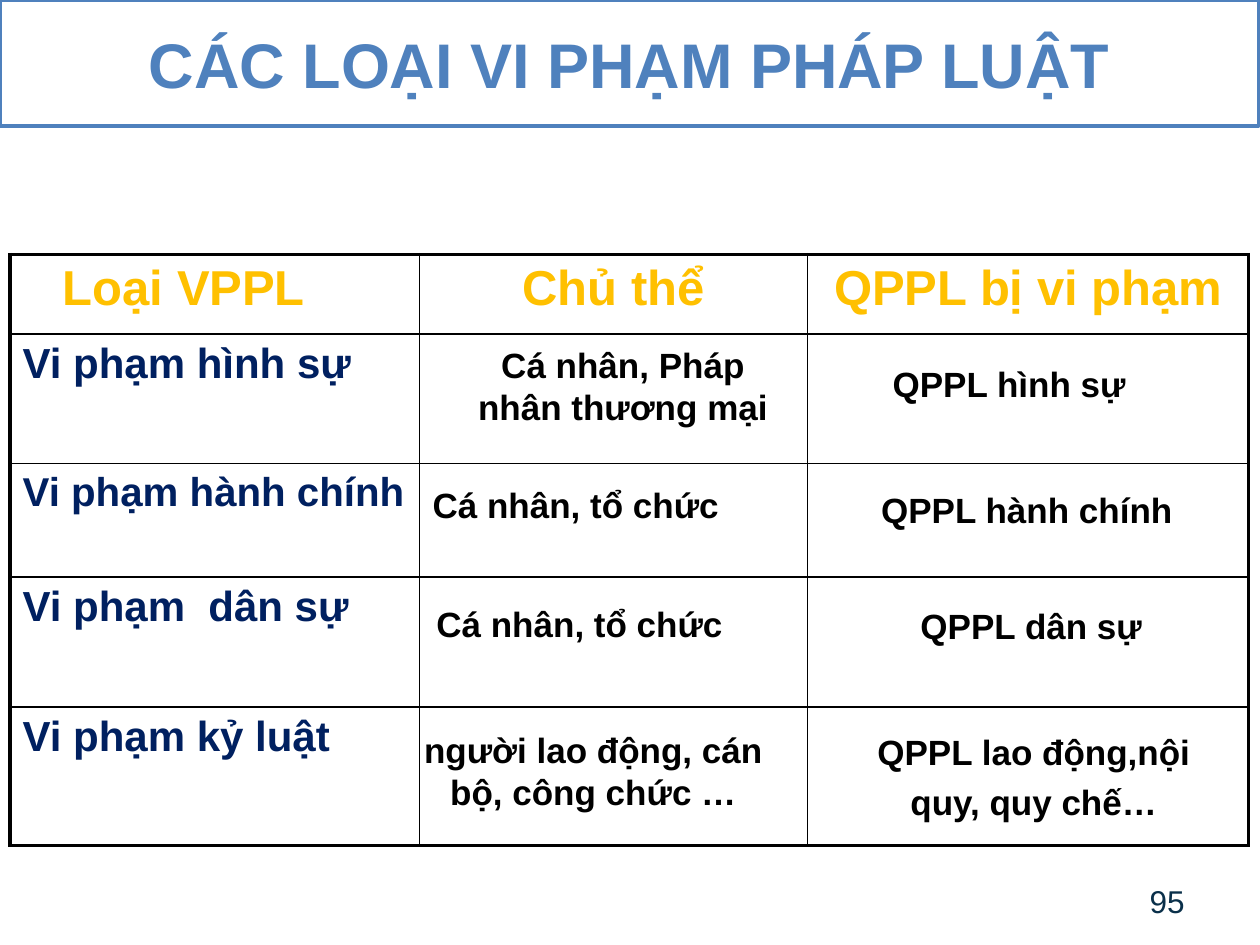
from dataclasses import dataclass

from lxml import etree
from pptx import Presentation
from pptx.dml.color import RGBColor
from pptx.enum.text import MSO_ANCHOR, MSO_AUTO_SIZE, PP_ALIGN
from pptx.oxml.ns import qn
from pptx.util import Inches, Pt

LEFT, CENTER, RIGHT = PP_ALIGN.LEFT, PP_ALIGN.CENTER, PP_ALIGN.RIGHT
TOP, MIDDLE = MSO_ANCHOR.TOP, MSO_ANCHOR.MIDDLE
NO_FIT = MSO_AUTO_SIZE.NONE

BLUE, NAVY, GOLD = "4F81BD", "002060", "FFC000"
BLACK, WHITE, INK = "000000", "FFFFFF", "0A304A"
OUTER, INNER = 2.25, 1

COLS = [3.25, 3.08, 3.5]
ROWS = [0.63, 1.03, 0.9, 1.03, 1.1]


@dataclass
class Style:
    size: float
    color: str
    bold: bool = True
    align: PP_ALIGN = CENTER
    spacing: float = 1.0


@dataclass
class Label:
    text: str
    x: float
    y: float
    w: float
    h: float
    style: Style
    anchor: MSO_ANCHOR = TOP


@dataclass
class Entry:
    text: str
    row: int
    col: int
    style: Style
    indent: float = 0.1


TITLE = Style(36, BLUE)
HEAD = Style(28, GOLD)
HEAD_LEFT = Style(28, GOLD, align=LEFT)
KIND = Style(24, NAVY, align=LEFT)
KIND_TIGHT = Style(23, NAVY, align=LEFT)
BODY = Style(20, BLACK)
BODY_LOOSE = Style(20, BLACK, spacing=1.2)
NUMBER = Style(18, INK, bold=False, align=RIGHT)

ENTRIES = [
    Entry("Loại VPPL", 0, 0, HEAD_LEFT, 0.42),
    Entry("Chủ thể", 0, 1, HEAD),
    Entry("QPPL bị vi phạm", 0, 2, HEAD),
    Entry("Vi phạm hình sự", 1, 0, KIND),
    Entry("Vi phạm hành chính", 2, 0, KIND_TIGHT),
    Entry("Vi phạm  dân sự", 3, 0, KIND),
    Entry("Vi phạm kỷ luật", 4, 0, KIND),
]

LABELS = [
    Label("95", 7.17, 6.95, 2.33, 0.4, NUMBER, MIDDLE),
    Label("Cá nhân, Pháp nhân thương mại", 3.61, 2.68, 2.67, 0.77, BODY),
    Label("Cá nhân, tổ chức", 3.21, 3.79, 2.72, 0.44, BODY),
    Label("Cá nhân, tổ chức", 3.24, 4.73, 2.72, 0.44, BODY),
    Label("người lao động, cán bộ, công chức …", 3.06, 5.73, 3.3, 0.77, BODY),
    Label("QPPL hình sự", 6.91, 2.83, 2.2, 0.44, BODY),
    Label("QPPL hành chính", 6.76, 3.83, 2.78, 0.44, BODY),
    Label("QPPL dân sự", 7.13, 4.75, 2.11, 0.44, BODY),
    Label("QPPL lao động,nội quy, quy chế…", 6.63, 5.68, 3.15, 0.87, BODY_LOOSE),
]


def rgb(color: str) -> RGBColor:
    return RGBColor.from_string(color)


def write(tf, text: str, style: Style) -> None:
    p = tf.paragraphs[0]
    p.alignment = style.align
    p.line_spacing = style.spacing
    r = p.add_run()
    r.text = text
    formats = {"name": "Arial", "size": Pt(style.size), "bold": style.bold}
    for name, value in formats.items():
        setattr(r.font, name, value)
    r.font.color.rgb = rgb(style.color)


def draw_title(s, text: str) -> None:
    sp = s.shapes.title
    box = {"left": 0, "top": 0, "width": Inches(9.99), "height": Inches(1)}
    for name, value in box.items():
        setattr(sp, name, value)
    sp.fill.solid()
    sp.fill.fore_color.rgb = rgb(WHITE)
    sp.line.color.rgb = rgb(BLUE)
    sp.line.width = Pt(2)
    tf = sp.text_frame
    tf.auto_size = NO_FIT
    tf.vertical_anchor = MIDDLE
    write(tf, text, TITLE)


def draw_label(s, label: Label) -> None:
    sp = s.shapes.add_textbox(*map(Inches, (label.x, label.y, label.w, label.h)))
    tf = sp.text_frame
    tf.word_wrap = True
    tf.vertical_anchor = label.anchor
    write(tf, label.text, label.style)


def set_borders(cell, widths: dict[str, float]) -> None:
    tc_pr = cell._tc.get_or_add_tcPr()
    for i, (side, width) in enumerate(widths.items()):
        ln = etree.Element(qn(f"a:{side}"), w=str(int(Pt(width))))
        fill = etree.SubElement(ln, qn("a:solidFill"))
        etree.SubElement(fill, qn("a:srgbClr"), val=BLACK)
        tc_pr.insert(i, ln)


def draw_table(s, entries: list[Entry]) -> None:
    frame = s.shapes.add_table(
        len(ROWS), len(COLS), Inches(0.08), Inches(2.02),
        Inches(sum(COLS)), Inches(sum(ROWS)),
    )
    table = frame.table
    table.first_row = False
    table.horz_banding = False
    for col, width in zip(table.columns, COLS):
        col.width = Inches(width)
    for row, height in zip(table.rows, ROWS):
        row.height = Inches(height)
    for i in range(len(ROWS)):
        for j in range(len(COLS)):
            cell = table.cell(i, j)
            cell.fill.background()
            edges = {
                "lnL": j == 0,
                "lnR": j == len(COLS) - 1,
                "lnT": i == 0,
                "lnB": i == len(ROWS) - 1,
            }
            set_borders(cell, {k: OUTER if v else INNER for k, v in edges.items()})
    for entry in entries:
        cell = table.cell(entry.row, entry.col)
        cell.margin_left = Inches(entry.indent)
        write(cell.text_frame, entry.text, entry.style)


def main() -> None:
    prs = Presentation()
    prs.slide_width, prs.slide_height = Inches(10), Inches(7.5)
    s = prs.slides.add_slide(prs.slide_layouts[5])
    draw_title(s, "CÁC LOẠI VI PHẠM PHÁP LUẬT")
    draw_table(s, ENTRIES)
    for label in LABELS:
        draw_label(s, label)
    prs.save("out.pptx")


if __name__ == "__main__":
    main()
